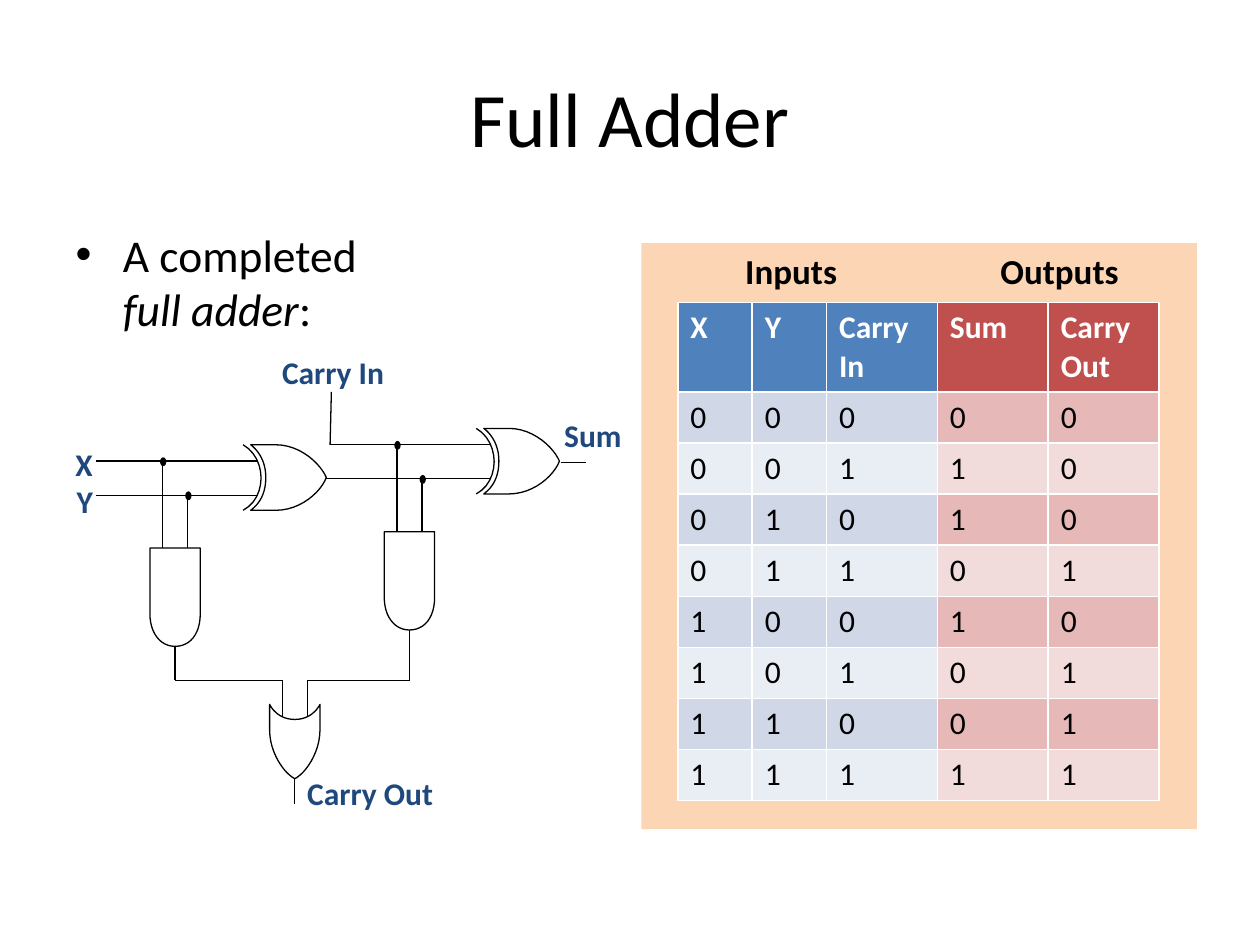
from itertools import pairwise, product
from typing import NamedTuple

from lxml.etree import SubElement
from pptx import Presentation
from pptx.dml.color import RGBColor
from pptx.enum.shapes import MSO_CONNECTOR as Connector, MSO_SHAPE as Shape
from pptx.enum.text import MSO_AUTO_SIZE as AutoSize, PP_ALIGN as Align
from pptx.oxml.ns import qn
from pptx.util import Inches, Pt

COLORS = {
    "black": "000000", "white": "FFFFFF", "label": "1F497D", "panel": "FCD5B5",
    "input_head": "4F81BD", "input_odd": "D0D8E8", "input_even": "E9EDF4",
    "output_head": "C0504D", "output_odd": "E6B9B8", "output_even": "F2DCDB",
}
FONT = "Calibri"
CURVE_STEPS = 12

Point = tuple[float, float]


class Label(NamedTuple):
    text: str
    left: float
    top: float
    width: float = 1.23
    height: float = 0.4
    size: int = 18
    color: str = "label"
    align: Align = Align.LEFT


class Outline(NamedTuple):
    """Start point, then steps: one point is a line, three are a Bézier curve."""
    start: Point
    steps: list[tuple[Point, ...]]
    closed: bool = True


# Gate outlines, relative to each gate's top left corner
AND_GATE = [Outline((0, 0), [
    ((0.4, 0),), ((0.4, 0.52),),
    ((0.4, 0.68), (0.32, 0.78), (0.2, 0.78)),
    ((0.08, 0.78), (0, 0.67), (0, 0.52)),
])]
XOR_GATE = [
    Outline((-0.06, 0), [((0.13, 0.11), (0.13, 0.42), (-0.06, 0.52))], False),
    Outline((0, 0), [
        ((0.13, 0), (0.14, 0), (0.2, 0)),
        ((0.4, 0), (0.56, 0.16), (0.6, 0.26)),
        ((0.56, 0.37), (0.4, 0.52), (0.2, 0.52)),
        ((0.14, 0.52), (0.13, 0.52), (0, 0.52)),
        ((0.04, 0.49), (0.12, 0.42), (0.12, 0.26)),
        ((0.12, 0.11), (0.04, 0.03), (0, 0)),
    ]),
]
OR_GATE = [Outline((0, 0), [
    ((0.02, 0.04), (0.08, 0.12), (0.2, 0.12)),
    ((0.32, 0.12), (0.38, 0.04), (0.4, 0)),
    ((0.4, 0.13), (0.4, 0.14), (0.4, 0.2)),
    ((0.4, 0.39), (0.28, 0.55), (0.2, 0.59)),
    ((0.12, 0.55), (0, 0.39), (0, 0.2)),
    ((0, 0.14), (0, 0.13), (0, 0)),
])]
GATES = [
    (XOR_GATE, (1.99, 3.53)), (AND_GATE, (1.19, 4.35)),
    (XOR_GATE, (3.84, 3.4)), (AND_GATE, (3.05, 4.22)),
    (OR_GATE, (2.14, 5.59)),
]

# Each wire is a chain of points
WIRES: list[list[Point]] = [
    [(0.76, 3.66), (2.05, 3.66)],
    [(0.76, 3.93), (2.05, 3.93)],
    [(1.29, 3.66), (1.29, 4.35)],
    [(1.49, 3.93), (1.49, 4.35)],
    [(2.63, 3.11), (2.62, 3.53), (3.9, 3.53)],
    [(2.59, 3.8), (3.9, 3.8)],
    [(3.15, 3.53), (3.15, 4.22)],
    [(3.35, 3.8), (3.35, 4.22)],
    [(4.45, 3.67), (4.65, 3.67)],
    [(1.39, 5.13), (1.39, 5.4), (2.24, 5.4), (2.24, 5.69)],
    [(3.25, 5), (3.25, 5.4), (2.44, 5.4), (2.44, 5.69)],
    [(2.34, 6.18), (2.34, 6.38)],
]
JUNCTIONS: list[Point] = [(1.29, 3.66), (1.49, 3.93), (3.15, 3.53), (3.35, 3.8)]

LABELS = [
    Label("Inputs", 5.61, 1.93, 1.34, 0.44, 20, "black", Align.CENTER),
    Label("Outputs", 7.74, 1.93, 1.34, 0.44, 20, "black", Align.CENTER),
    Label("Carry In", 2.14, 2.75),
    Label("X", 0.5, 3.48, height=0.33),
    Label("Y", 0.51, 3.78, height=0.33),
    Label("Sum", 4.38, 3.25, height=0.33),
    Label("Carry Out", 2.34, 6.09),
]

HEADERS = ["X", "Y", "Carry\nIn", "Sum", "Carry\nOut"]
COLUMN_WIDTHS = [0.59, 0.59, 0.88, 0.88, 0.88]


def rgb(name: str) -> RGBColor:
    return RGBColor.from_string(COLORS[name])


def format_font(font, size: int, color: str, bold: bool = False) -> None:
    font.name, font.size, font.bold = FONT, Pt(size), bold
    font.color.rgb = rgb(color)


def place(shape, left: float, top: float, width: float, height: float) -> None:
    shape.left, shape.top = Inches(left), Inches(top)
    shape.width, shape.height = Inches(width), Inches(height)


def fill_shape(shape, color: str) -> None:
    shape.shadow.inherit = False
    shape.fill.solid()
    shape.fill.fore_color.rgb = rgb(color)
    shape.line.fill.background()


def trace(outline: Outline) -> list[Point]:
    points = [outline.start]
    for step in outline.steps:
        if len(step) == 1:
            points.append(step[0])
            continue
        controls = (points[-1], *step)
        for index in range(1, CURVE_STEPS + 1):
            t = index / CURVE_STEPS
            weights = ((1 - t) ** 3, 3 * t * (1 - t) ** 2, 3 * t * t * (1 - t), t ** 3)
            points.append(tuple(
                sum(w * control[axis] for w, control in zip(weights, controls))
                for axis in (0, 1)))
    return points


def draw_gate(slide, gate: list[Outline], origin: Point) -> None:
    for outline in gate:
        points = [(Inches(origin[0] + x), Inches(origin[1] + y))
                  for x, y in trace(outline)]
        builder = slide.shapes.build_freeform(*points[0])
        builder.add_line_segments(points[1:], close=outline.closed)
        shape = builder.convert_to_shape()
        fill_shape(shape, "white")
        if not outline.closed:
            shape.fill.background()
        shape.line.color.rgb = rgb("black")
        shape.line.width = Pt(0.75)


def draw_wire(slide, points: list[Point]) -> None:
    for begin, end in pairwise(points):
        wire = slide.shapes.add_connector(
            Connector.STRAIGHT, *(Inches(value) for value in begin + end))
        wire.line.color.rgb = rgb("black")
        wire.line.width = Pt(0.75)
        SubElement(wire._element.spPr, qn("a:effectLst"))


def draw_shape(slide, kind: Shape, color: str, *box: float) -> None:
    fill_shape(slide.shapes.add_shape(kind, *(Inches(value) for value in box)), color)


def draw_label(slide, label: Label) -> None:
    box = slide.shapes.add_textbox(*(Inches(value) for value in label[1:5]))
    box.text_frame.word_wrap = True
    box.text_frame.text = label.text
    paragraph = box.text_frame.paragraphs[0]
    paragraph.alignment = label.align
    format_font(paragraph.runs[0].font, label.size, label.color, True)


def draw_truth_table(slide) -> None:
    rows = [HEADERS]
    for bits in product((0, 1), repeat=3):
        rows.append([str(bit) for bit in (*bits, sum(bits) % 2, sum(bits) // 2)])
    table = slide.shapes.add_table(
        len(rows), len(HEADERS), Inches(5.38), Inches(2.4), Inches(3.83), Inches(3.94)).table
    for column, width in zip(table.columns, COLUMN_WIDTHS):
        column.width = Inches(width)
    for row_index, values in enumerate(rows):
        header = row_index == 0
        table.rows[row_index].height = Inches(0.7 if header else 0.405)
        shade = "head" if header else "odd" if row_index % 2 else "even"
        for column_index, value in enumerate(values):
            cell = table.cell(row_index, column_index)
            cell.text_frame.text = value
            cell.fill.solid()
            side = "input" if column_index < 3 else "output"
            cell.fill.fore_color.rgb = rgb(f"{side}_{shade}")
            for paragraph in cell.text_frame.paragraphs:
                format_font(paragraph.runs[0].font, 18, "white" if header else "black", header)


def main() -> None:
    presentation = Presentation()
    presentation.slide_width, presentation.slide_height = Inches(10), Inches(7.5)
    slide = presentation.slides.add_slide(presentation.slide_layouts[1])

    # Title and bullet
    title, body = slide.placeholders
    place(title, 0.5, 0.3, 9, 1.25)
    title.text_frame.text = "Full Adder"
    format_font(title.text_frame.paragraphs[0].runs[0].font, 44, "black")
    place(body, 0.5, 1.75, 4.42, 4.95)
    body.text_frame.auto_size = AutoSize.NONE
    paragraph = body.text_frame.paragraphs[0]
    paragraph.text = "A completed\vfull adder"
    paragraph.add_run().text = ":"
    for run in paragraph.runs:
        format_font(run.font, 26, "black")
    paragraph.runs[1].font.italic = True

    # Truth table on its panel
    draw_shape(slide, Shape.RECTANGLE, "panel", 5.09, 1.93, 4.41, 4.65)
    draw_truth_table(slide)

    # Circuit
    for gate, origin in GATES:
        draw_gate(slide, gate, origin)
    for wire in WIRES:
        draw_wire(slide, wire)
    for x, y in JUNCTIONS:
        draw_shape(slide, Shape.OVAL, "black", x - 0.02, y - 0.03, 0.05, 0.07)
    for label in LABELS:
        draw_label(slide, label)

    presentation.save("out.pptx")


if __name__ == "__main__":
    main()
